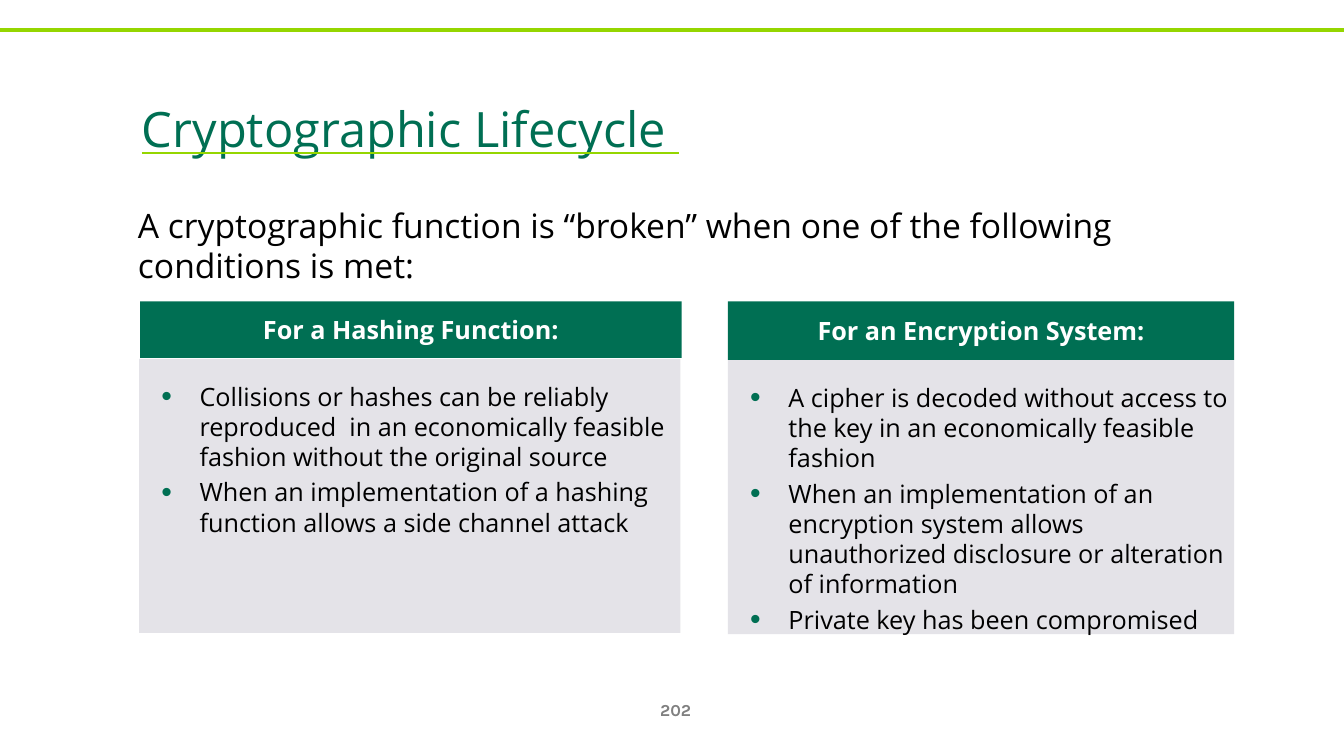
from lxml import etree
from pptx import Presentation
from pptx import util as u
from pptx.dml.color import RGBColor
from pptx.enum import shapes, text
from pptx.oxml.ns import qn

COLORS = {"green": "006F53", "lime": "95D600", "panel": "E4E3E8",
          "black": "000000", "white": "FFFFFF", "gray": "808080"}
MIDDLE = text.MSO_ANCHOR.MIDDLE
CENTER = text.PP_ALIGN.CENTER


def rgb(name):
    return RGBColor.from_string(COLORS[name])


def add_xml(parent, tag, **attrs):
    return etree.SubElement(parent, qn(tag), attrs)


class SlideBuilder:
    font = "Open Sans"
    indent = u.Inches(0.38)

    def __init__(self, slide):
        self.s = slide

    def fill_text(self, sp, lines, color, size, bullets=False, align=None,
                  anchor=text.MSO_ANCHOR.TOP, insets=(0.1, 0.05, 0.1, 0.05), **font):
        tf = sp.text_frame
        frame = {"word_wrap": True, "vertical_anchor": anchor}
        for side, inset in zip(("left", "top", "right", "bottom"), insets):
            frame[f"margin_{side}"] = u.Inches(inset)
        for key, value in frame.items():
            setattr(tf, key, value)
        for i, line in enumerate(lines):
            p = tf.paragraphs[0] if i == 0 else tf.add_paragraph()
            p.alignment = align or text.PP_ALIGN.LEFT
            if i:
                p.space_before = u.Pt(size * 0.2)
            if bullets:
                self.bullet(p)
            r = p.add_run()
            r.text = line
            r.font.color.rgb = rgb(color)
            for key, value in {"name": self.font, "size": u.Pt(size), **font}.items():
                setattr(r.font, key, value)
        return tf

    def bullet(self, p):
        pPr = p._p.get_or_add_pPr()
        pPr.set("marL", str(self.indent))
        pPr.set("indent", str(-self.indent))
        add_xml(add_xml(pPr, "a:buClr"), "a:srgbClr", val=COLORS["green"])
        add_xml(pPr, "a:buSzPct", val="120000")
        add_xml(pPr, "a:buFont", typeface="Arial")
        add_xml(pPr, "a:buChar", char="•")

    def textbox(self, box, lines, color, size, **style):
        sp = self.s.shapes.add_textbox(*map(u.Inches, box))
        return self.fill_text(sp, lines, color, size, **style)

    def block(self, box, fill, lines, color, **style):
        sp = self.s.shapes.add_shape(shapes.MSO_SHAPE.RECTANGLE, *map(u.Inches, box))
        sp.shadow.inherit = False
        sp.fill.solid()
        sp.fill.fore_color.rgb = rgb(fill)
        sp.line.fill.background()
        self.fill_text(sp, lines, color, 18, **style)

    def rule(self, y, width, color, weight):
        line = self.s.shapes.add_connector(
            shapes.MSO_CONNECTOR.STRAIGHT, 0, u.Inches(y), u.Inches(width), u.Inches(y))
        line.line.color.rgb = rgb(color)
        line.line.width = u.Pt(weight)
        add_xml(line._element.spPr, "a:effectLst")

    def title(self, box, words):
        tf = self.textbox(box, [words], "green", 60, anchor=MIDDLE, underline=True)
        # Raised text with a lime underline
        rPr = tf.paragraphs[0].runs[0]._r.get_or_add_rPr()
        rPr.set("baseline", "12000")
        underline = add_xml(rPr, "a:uFill")
        add_xml(add_xml(underline, "a:solidFill"), "a:srgbClr", val=COLORS["lime"])
        rPr.find(qn("a:latin")).addprevious(underline)


def main():
    prs = Presentation()
    prs.slide_width, prs.slide_height = u.Inches(13.33), u.Inches(7.5)
    s = SlideBuilder(prs.slides.add_slide(prs.slide_layouts[6]))

    # Top rule and page number
    s.rule(0.3, 13.33, "lime", 3)
    s.textbox((6.39, 6.84, 0.62, 0.4), ["202"], "gray", 12, anchor=MIDDLE,
              align=CENTER, name="Karla", bold=True)

    # Two columns: bulleted panel under a header bar
    columns = [
        ((1.38, 3.56, 5.37, 2.72), (1.39, 2.99, 5.37, 0.56), "For a Hashing Function:", [
            "Collisions or hashes can be reliably reproduced  in an economically "
            "feasible fashion without the original source",
            "When an implementation of a hashing function allows a side channel attack"]),
        ((7.22, 3.57, 5.02, 2.72), (7.22, 2.99, 5.02, 0.58), "For an Encryption System:", [
            "A cipher is decoded without access to the key in an economically "
            "feasible fashion",
            "When an implementation of an encryption system allows unauthorized "
            "disclosure or alteration of information",
            "Private key has been compromised"]),
    ]
    for panel, bar, heading, points in columns:
        s.block(panel, "panel", points, "black", bullets=True,
                insets=(0.22, 0.22, 0, 0.22))
        s.block(bar, "green", [heading], "white", align=CENTER, anchor=MIDDLE,
                insets=(0.15,) * 4, bold=True)

    # Title and introduction
    s.title((1.31, 0.61, 9.48, 1.25), "Cryptographic Lifecycle ")
    s.textbox((1.27, 1.98, 10.98, 0.87),
              ["A cryptographic function is “broken” when one of the following "
               "conditions is met:"], "black", 24)

    prs.save("out.pptx")


if __name__ == "__main__":
    main()
